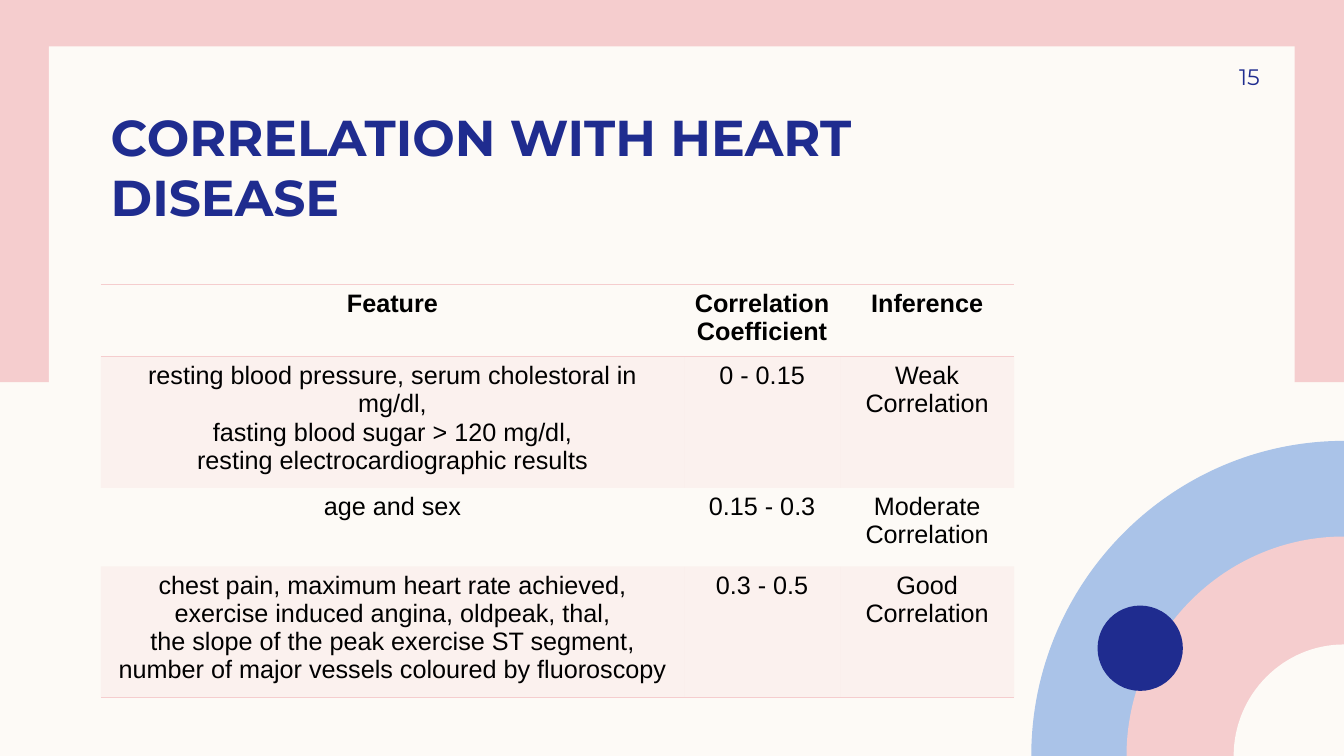
import pptx
import pptx.dml.color
import pptx.enum.shapes
import pptx.enum.text
import pptx.oxml
import pptx.oxml.ns
import pptx.util
from pptx.util import Cm

TITLE = "CORRELATION WITH HEART DISEASE"
PAGE_NUMBER = "15"
TABLE_ROWS = [
    (["Feature"], ["Correlation", "Coefficient"], ["Inference"]),
    (
        [
            "resting blood pressure, serum cholestoral in mg/dl,",
            "fasting blood sugar > 120 mg/dl,",
            "resting electrocardiographic results",
        ],
        ["0 - 0.15"],
        ["Weak", "Correlation"],
    ),
    (["age and sex"], ["0.15 - 0.3"], ["Moderate", "Correlation"]),
    (
        [
            "chest pain, maximum heart rate achieved,",
            "exercise induced angina, oldpeak, thal,",
            "the slope of the peak exercise ST segment,",
            "number of major vessels coloured by fluoroscopy",
        ],
        ["0.3 - 0.5"],
        ["Good", "Correlation"],
    ),
]
COLUMN_WIDTHS = [14.7, 3.93, 4.39]
ROW_HEIGHTS = [1.83, 3.1, 1.98, 3.1]
SLIDE_WIDTH, SLIDE_HEIGHT = 33.87, 19.05
QUARTER_DISCS = [(7.88, 7.94, "blue"), (5.48, 5.53, "pink"), (2.78, 2.81, "cream")]
ARC_HANDLE = 0.55
PLAIN_TABLE_STYLE = "{2D5ABB26-0587-4C30-8999-92F81FD0307C}"


class Theme:
    colors = {
        "cream": "FDFAF6",
        "pink": "F5CDCE",
        "blue": "AAC3E8",
        "navy": "1F2C8F",
        "black": "000000",
    }
    display_font = "Montserrat"
    table_font = "Arial"
    title_size = 36
    number_size = 16
    table_size = 18
    band_opacity = 20
    border_points = 1


def color(name):
    return pptx.dml.color.RGBColor.from_string(Theme.colors[name])


def paint(shape, fill):
    shape.shadow.inherit = False
    shape.fill.solid()
    shape.fill.fore_color.rgb = color(fill)
    shape.line.fill.background()


def add_shape(slide, kind, left, top, width, height, fill):
    shape = slide.shapes.add_shape(kind, Cm(left), Cm(top), Cm(width), Cm(height))
    paint(shape, fill)


def add_quarter_disc(slide, radius_x, radius_y, fill):
    left, top = SLIDE_WIDTH - radius_x, SLIDE_HEIGHT - radius_y
    builder = slide.shapes.build_freeform(Cm(SLIDE_WIDTH), Cm(SLIDE_HEIGHT))
    corners = [(Cm(left), Cm(SLIDE_HEIGHT)), (Cm(SLIDE_WIDTH), Cm(top))]
    builder.add_line_segments(corners, close=True)
    shape = builder.convert_to_shape()
    paint(shape, fill)
    straight = shape._element.findall(".//" + pptx.oxml.ns.qn("a:lnTo"))[1]
    width, height = shape.width, shape.height
    curve = [
        (0, round(height * (1 - ARC_HANDLE))),
        (round(width * (1 - ARC_HANDLE)), 0),
        (width, 0),
    ]
    points = "".join(f'<a:pt x="{x}" y="{y}"/>' for x, y in curve)
    namespace = pptx.oxml.ns.nsdecls("a")
    arc = pptx.oxml.parse_xml(f"<a:cubicBezTo {namespace}>{points}</a:cubicBezTo>")
    straight.getparent().replace(straight, arc)


def write(frame, lines, *, font, size, fill, bold=False, align="LEFT"):
    for index, line in enumerate(lines):
        paragraph = frame.add_paragraph() if index else frame.paragraphs[0]
        paragraph.alignment = getattr(pptx.enum.text.PP_ALIGN, align)
        run = paragraph.add_run()
        run.text = line
        run.font.name = font
        run.font.size = pptx.util.Pt(size)
        run.font.bold = bold
        run.font.color.rgb = color(fill)


def add_text(slide, text, left, top, width, height, *, anchor, margins, **text_format):
    frame = slide.shapes.add_textbox(Cm(left), Cm(top), Cm(width), Cm(height)).text_frame
    frame.word_wrap = True
    frame.vertical_anchor = getattr(pptx.enum.text.MSO_ANCHOR, anchor)
    for side, margin in zip(("left", "top", "right", "bottom"), margins):
        setattr(frame, f"margin_{side}", Cm(margin))
    write(frame, [text], **text_format)


def set_borders(cell, sides):
    properties = cell._tc.get_or_add_tcPr()
    namespace = pptx.oxml.ns.nsdecls("a")
    width = pptx.util.Pt(Theme.border_points)
    for index, side in enumerate(sides):
        border = (
            f'<a:ln{side} {namespace} w="{width}"><a:solidFill>'
            f'<a:srgbClr val="{Theme.colors["pink"]}"/></a:solidFill></a:ln{side}>'
        )
        properties.insert(index, pptx.oxml.parse_xml(border))


def fill_band(cell):
    cell.fill.solid()
    cell.fill.fore_color.rgb = color("pink")
    swatch = cell._tc.tcPr.find(".//" + pptx.oxml.ns.qn("a:srgbClr"))
    opacity = Theme.band_opacity * 1000
    namespace = pptx.oxml.ns.nsdecls("a")
    swatch.append(pptx.oxml.parse_xml(f'<a:alpha {namespace} val="{opacity}"/>'))


def add_correlation_table(slide):
    frame = slide.shapes.add_table(
        len(TABLE_ROWS), len(COLUMN_WIDTHS), Cm(2.54), Cm(7.16),
        Cm(sum(COLUMN_WIDTHS)), Cm(sum(ROW_HEIGHTS)),
    )
    table = frame.table
    table.first_row = table.horz_banding = False
    style = table._tbl.find(".//" + pptx.oxml.ns.qn("a:tableStyleId"))
    style.text = PLAIN_TABLE_STYLE
    for column, width in zip(table.columns, COLUMN_WIDTHS):
        column.width = Cm(width)
    borders = {0: "TB", len(TABLE_ROWS) - 1: "B"}
    for row_index, (row, height) in enumerate(zip(TABLE_ROWS, ROW_HEIGHTS)):
        table.rows[row_index].height = Cm(height)
        for column_index, lines in enumerate(row):
            cell = table.cell(row_index, column_index)
            if row_index % 2:
                fill_band(cell)
            else:
                cell.fill.background()
            set_borders(cell, borders.get(row_index, ""))
            write(cell.text_frame, lines, font=Theme.table_font, size=Theme.table_size,
                  fill="black", bold=row_index == 0, align="CENTER")


def main():
    presentation = pptx.Presentation()
    presentation.slide_width = Cm(SLIDE_WIDTH)
    presentation.slide_height = Cm(SLIDE_HEIGHT)
    slide = presentation.slides.add_slide(presentation.slide_layouts[6])
    slide.background.fill.solid()
    slide.background.fill.fore_color.rgb = color("cream")

    shapes = pptx.enum.shapes.MSO_SHAPE
    add_shape(slide, shapes.RECTANGLE, 0, 0, SLIDE_WIDTH, 9.63, "pink")
    add_shape(slide, shapes.RECTANGLE, 1.23, 1.17, 31.4, 16.74, "cream")
    for radius_x, radius_y, fill in QUARTER_DISCS:
        add_quarter_disc(slide, radius_x, radius_y, fill)
    add_shape(slide, shapes.OVAL, 27.66, 15.26, 2.15, 2.15, "navy")

    add_text(slide, TITLE, 2.54, 2.69, 21.21, 3.02, anchor="BOTTOM",
             margins=(0.25, 0, 0.25, 0), font=Theme.display_font,
             size=Theme.title_size, fill="navy", bold=True)
    add_correlation_table(slide)
    add_text(slide, PAGE_NUMBER, 28.78, 1.27, 2.97, 1.32, anchor="MIDDLE",
             margins=(0.25, 0.13, 0, 0.13), font=Theme.display_font,
             size=Theme.number_size, fill="navy", align="RIGHT")
    presentation.save("out.pptx")


if __name__ == "__main__":
    main()
